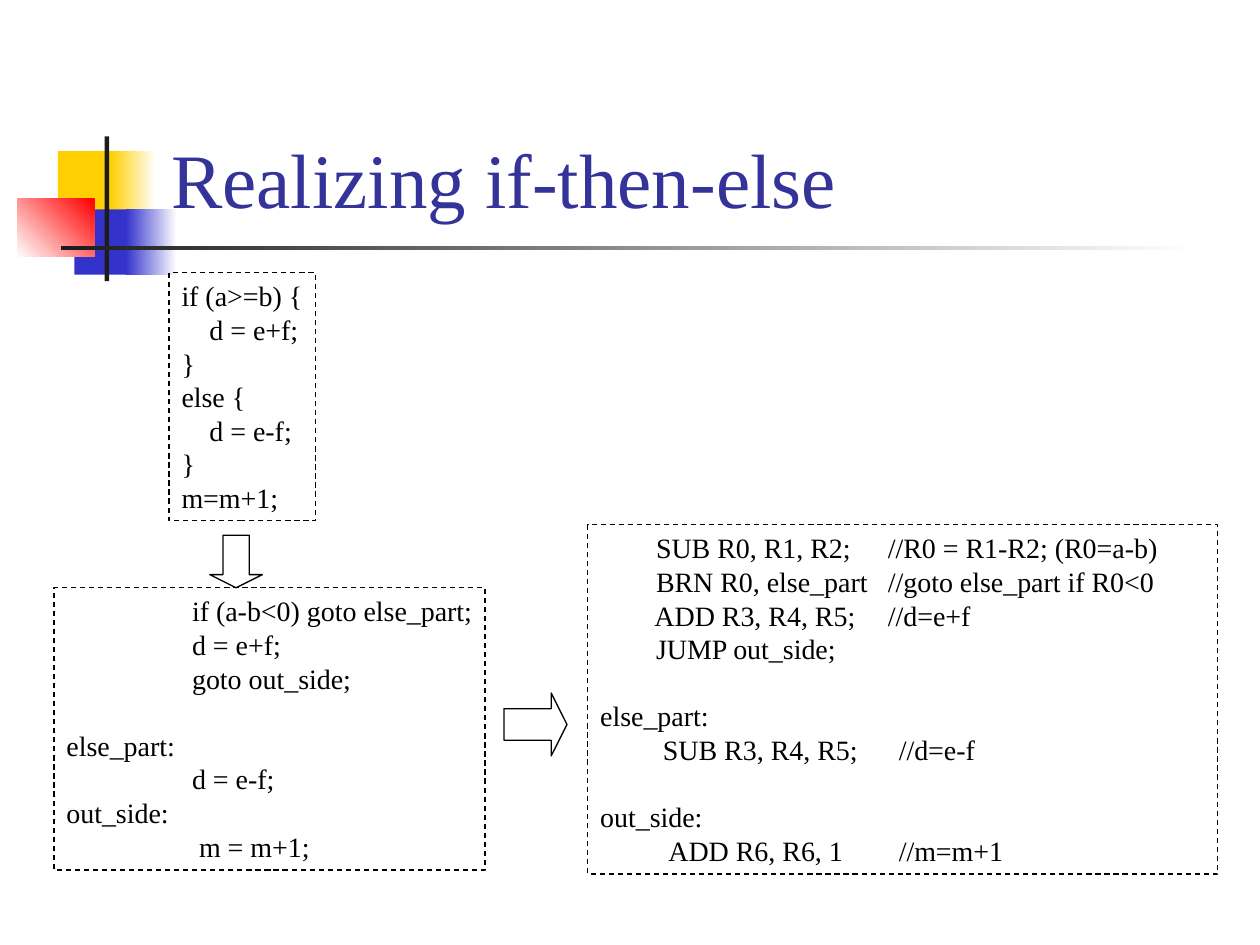
from pptx import Presentation
from pptx import util as u
from pptx.dml.color import RGBColor
from pptx.enum import dml, shapes, text
from pptx.oxml.ns import qn
from lxml import etree

COLORS = {"title": "333399", "ink": "000000", "yellow": "FFCF01",
          "blue": "3333CC", "red": "FF0000", "rule": "1C1C1C", "white": "FFFFFF"}

SOURCE = ["if (a>=b) {", "    d = e+f;", "}", "else {", "    d = e-f;", "}", "m=m+1;"]
INDENT = " " * 18
GOTO_FORM = [INDENT + "if (a-b<0) goto else_part;", INDENT + "d = e+f;",
             INDENT + "goto out_side;", "", "else_part:", INDENT + "d = e-f;",
             "out_side:", INDENT + " m = m+1;"]
ASSEMBLY = ["        SUB R0, R1, R2;\t//R0 = R1-R2; (R0=a-b)",
            "        BRN R0, else_part\t//goto else_part if R0<0",
            "        ADD R3, R4, R5;\t//d=e+f",
            "        JUMP out_side;", "", "else_part:",
            "         SUB R3, R4, R5;\t//d=e-f", "", "out_side:",
            "          ADD R6, R6, 1\t//m=m+1"]


class Board:
    """Style and current slide, with one method for each kind of element."""

    font = "Times New Roman"
    code_size = 16
    line_pitch = 19.2

    def __init__(self, page):
        self.page = page

    def color(self, name):
        return RGBColor.from_string(COLORS[name])

    def place(self, shape, area):
        shape.left, shape.top, shape.width, shape.height = map(u.Cm, area)

    def add_span(self, para, words, size, color):
        span = para.add_run()
        span.text = words
        span.font.name = self.font
        span.font.size = u.Pt(size)
        span.font.color.rgb = self.color(color)

    def title(self, words, area):
        box = self.page.shapes.title
        self.place(box, area)
        frame = box.text_frame
        frame.vertical_anchor = text.MSO_ANCHOR.BOTTOM
        frame.auto_size = text.MSO_AUTO_SIZE.NONE
        para = frame.paragraphs[0]
        para.alignment = text.PP_ALIGN.LEFT
        self.add_span(para, words, 44, "title")

    def shape(self, kind, area):
        shape = self.page.shapes.add_shape(kind, *map(u.Cm, area))
        shape.shadow.inherit = False
        return shape

    def block(self, area, start, end=None, angle=0):
        block = self.shape(shapes.MSO_SHAPE.RECTANGLE, area)
        block.line.fill.background()
        if end is None:
            block.fill.solid()
            block.fill.fore_color.rgb = self.color(start)
            return
        block.fill.gradient()
        block.fill.gradient_angle = angle
        for stop, name in zip(block.fill.gradient_stops, (start, end)):
            stop.color.rgb = self.color(name)

    def outline(self, kind, area):
        shape = self.shape(kind, area)
        shape.fill.background()
        shape.line.color.rgb = self.color("ink")
        shape.line.width = u.Pt(0.75)
        return shape

    def arrow(self, kind, area):
        arrow = self.outline(kind, area)
        arrow.adjustments[0] = 0.5
        arrow.adjustments[1] = 0.25

    def tab(self, para, position):
        tabs = etree.SubElement(para._p.get_or_add_pPr(), qn("a:tabLst"))
        etree.SubElement(tabs, qn("a:tab"), pos=str(u.Cm(position)), algn="l")

    def code(self, area, lines, wrap=False):
        box = self.outline(shapes.MSO_SHAPE.RECTANGLE, area)
        box.line.dash_style = dml.MSO_LINE.DASH
        frame = box.text_frame
        frame.word_wrap = wrap
        frame.auto_size = text.MSO_AUTO_SIZE.SHAPE_TO_FIT_TEXT
        frame.vertical_anchor = text.MSO_ANCHOR.TOP
        gap = False
        for number, line in enumerate(lines):
            if not line:
                gap = True
                continue
            para = frame.add_paragraph() if number else frame.paragraphs[0]
            if "\t" in line:
                self.tab(para, 5.8 if number < 4 else 6.02)
            para.alignment = text.PP_ALIGN.LEFT
            para.line_spacing = u.Pt(self.line_pitch)
            if gap:
                para.space_before = u.Pt(self.line_pitch)
                gap = False
            self.add_span(para, line, self.code_size, "ink")


def main():
    deck = Presentation()
    deck.slide_width, deck.slide_height = u.Cm(25.4), u.Cm(19.05)
    board = Board(deck.slides.add_slide(deck.slide_layouts[5]))

    board.block((1.17, 3.05, 1.22, 1.32), "yellow")
    board.block((2.23, 3.05, 0.91, 1.32), "yellow", "white")
    board.block((1.5, 4.22, 1.17, 1.32), "blue")
    board.block((2.54, 4.22, 1.02, 1.32), "blue", "white")
    board.block((0.35, 4.01, 1.55, 1.17), "white", "red", 45)
    board.block((2.11, 2.75, 0.09, 2.92), "rule")
    board.block((1.23, 4.95, 22.86, 0.09), "rule", "white")

    board.title("Realizing if-then-else", (3.2, 0.58, 21.64, 4.06))
    board.code((3.41, 5.5, 2.95, 5), SOURCE)
    board.code((1.09, 11.85, 8.69, 5.69), GOTO_FORM)
    board.code((11.85, 10.58, 12.7, 7.04), ASSEMBLY, wrap=True)
    board.arrow(shapes.MSO_SHAPE.DOWN_ARROW, (4.23, 10.79, 1.06, 1.06))
    board.arrow(shapes.MSO_SHAPE.RIGHT_ARROW, (10.16, 13.97, 1.27, 1.27))

    deck.save("out.pptx")


if __name__ == "__main__":
    main()
